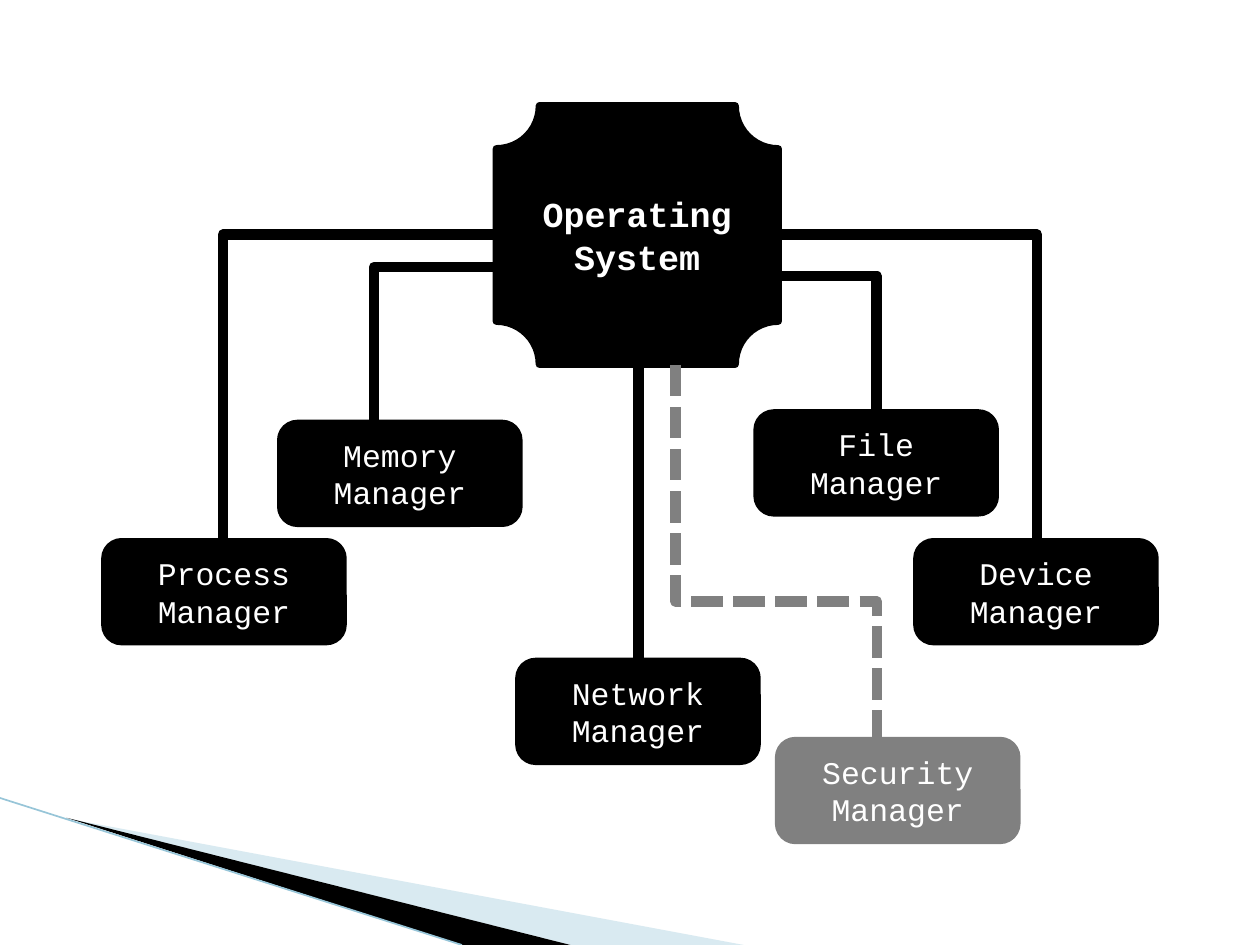
from dataclasses import dataclass
from lxml import etree
from pptx import Presentation
from pptx.dml.color import RGBColor
from pptx.enum.dml import MSO_LINE
from pptx.enum.shapes import MSO_CONNECTOR, MSO_SHAPE
from pptx.enum.text import MSO_ANCHOR, PP_ALIGN
from pptx.oxml.ns import qn
from pptx.util import Pt

PLAQUE = MSO_SHAPE.PLAQUE
ROUND = MSO_SHAPE.ROUNDED_RECTANGLE
STRAIGHT = MSO_CONNECTOR.STRAIGHT
ELBOW = MSO_CONNECTOR.ELBOW
DASH = MSO_LINE.SQUARE_DOT
MIDDLE = MSO_ANCHOR.MIDDLE
CENTER = PP_ALIGN.CENTER


@dataclass(frozen=True)
class Theme:
    ink: str = "000000"
    gray: str = "808080"
    white: str = "FFFFFF"
    pale: str = "A0CBDC"
    edge: str = "97C5D8"
    font: str = "Courier New"
    head: int = 20
    body: int = 18
    rim: float = 4.33
    wire: int = 6
    hair: float = 0.95


THEME = Theme()
NODE_W, NODE_H = 136, 57
ROOT = (223.7, 0.5, 161, 147.6)
NODES = [
    ("Process", 0, 249.6, THEME.ink),
    ("Memory", 100.5, 182, THEME.ink),
    ("Network", 236.6, 318, THEME.ink),
    ("Device", 464, 249.6, THEME.ink),
    ("Security", 385, 363.2, THEME.gray),
    ("File", 372.7, 176, THEME.ink),
]
LINKS = [
    ("Process", 223.7, 74, 67.5),
    ("Memory", 223.7, 92.6, 153.8),
    ("Device", 385, 74, 532.5),
    ("File", 379, 97.7, 441),
]


def style(item, vals):
    for name, value in vals.items():
        setattr(item, name, value)


def paint(fill, color):
    fill.solid()
    fill.fore_color.rgb = RGBColor.from_string(color)


def node(slide, kind, box, lines, color, size, bold=False):
    shape = slide.shapes.add_shape(kind, *map(Pt, box))
    shape.shadow.inherit = False
    paint(shape.fill, color)
    paint(shape.line.fill, color)
    shape.line.width = Pt(THEME.rim)
    frame = shape.text_frame
    style(frame, {"word_wrap": True, "vertical_anchor": MIDDLE})
    frame.text = "\n".join(lines)
    for para in frame.paragraphs:
        para.alignment = CENTER
        font = para.runs[0].font
        style(font, {"name": THEME.font, "size": Pt(size), "bold": bold})
        font.color.rgb = RGBColor.from_string(THEME.white)


def link(slide, kind, ends, color, width):
    line = slide.shapes.add_connector(kind, *map(Pt, ends))
    paint(line.line.fill, color)
    line.line.width = Pt(width)
    etree.SubElement(line._element.spPr, qn("a:effectLst"))
    return line


def corner(slide, ends):
    line = link(slide, ELBOW, ends, THEME.ink, THEME.wire)
    line._element.spPr.find(qn("a:prstGeom")).set("prst", "bentConnector2")


def step(slide, ends, bend):
    x1, y1, x2, y2 = ends
    mid_x, mid_y = (x1 + x2) / 2, (y1 + y2) / 2
    half_w, half_h = (y2 - y1) / 2, (x2 - x1) / 2
    turned = (mid_x + half_w, mid_y - half_h, mid_x - half_w, mid_y + half_h)
    line = link(slide, ELBOW, turned, THEME.gray, THEME.wire)
    line.line.dash_style = DASH
    props = line._element.spPr
    props.find(qn("a:xfrm")).set("rot", "16200000")
    guides = props.find(qn("a:prstGeom")).find(qn("a:avLst"))
    guide = etree.SubElement(guides, qn("a:gd"))
    guide.set("name", "adj1")
    guide.set("fmla", f"val {round(bend * 100000)}")


def tree(slide, left, top):
    spots = {name: (left + x, top + y) for name, x, y, _ in NODES}
    x, y, wide, high = ROOT
    node(slide, PLAQUE, (left + x, top + y, wide, high),
         ("Operating", "System"), THEME.ink, THEME.head, True)
    for name, x, y, end in LINKS:
        corner(slide, (left + x, top + y, left + end, spots[name][1]))
    mid = left + 305
    link(slide, STRAIGHT, (mid, top + 125, mid, spots["Network"][1]),
         THEME.ink, THEME.wire)
    step(slide, (left + 326, top + 148.5, left + 441, spots["Security"][1]), 0.63)
    for name, _, _, color in NODES:
        node(slide, ROUND, (*spots[name], NODE_W, NODE_H),
             (name, "Manager"), color, THEME.body)


def blade(slide, left, top, spots, color):
    first, *rest = [(Pt(left + x), Pt(top + y)) for x, y in spots]
    pen = slide.shapes.build_freeform(*first, scale=1)
    pen.add_line_segments(rest, close=True)
    shape = pen.convert_to_shape()
    shape.shadow.inherit = False
    paint(shape.fill, color)
    shape.line.fill.background()
    return shape


def wedge(slide, left, top, wide, high):
    pale = blade(slide, left, top, [(39.6, 12), (wide, high), (326, high)], THEME.pale)
    tone = pale._element.spPr.find(qn("a:solidFill"))[0]
    etree.SubElement(tone, qn("a:alpha")).set("val", "40000")
    blade(slide, left, top, [(38, 11.3), (326, high), (264, high)], THEME.ink)
    link(slide, STRAIGHT, (left, top, left + 264, top + high), THEME.edge, THEME.hair)


def main():
    deck = Presentation()
    style(deck, {"slide_width": Pt(720), "slide_height": Pt(540)})
    slide = deck.slides.add_slide(deck.slide_layouts[6])
    wedge(slide, 0, 456, 425, 84)
    tree(slide, 60, 60)
    deck.save("out.pptx")


if __name__ == "__main__":
    main()
